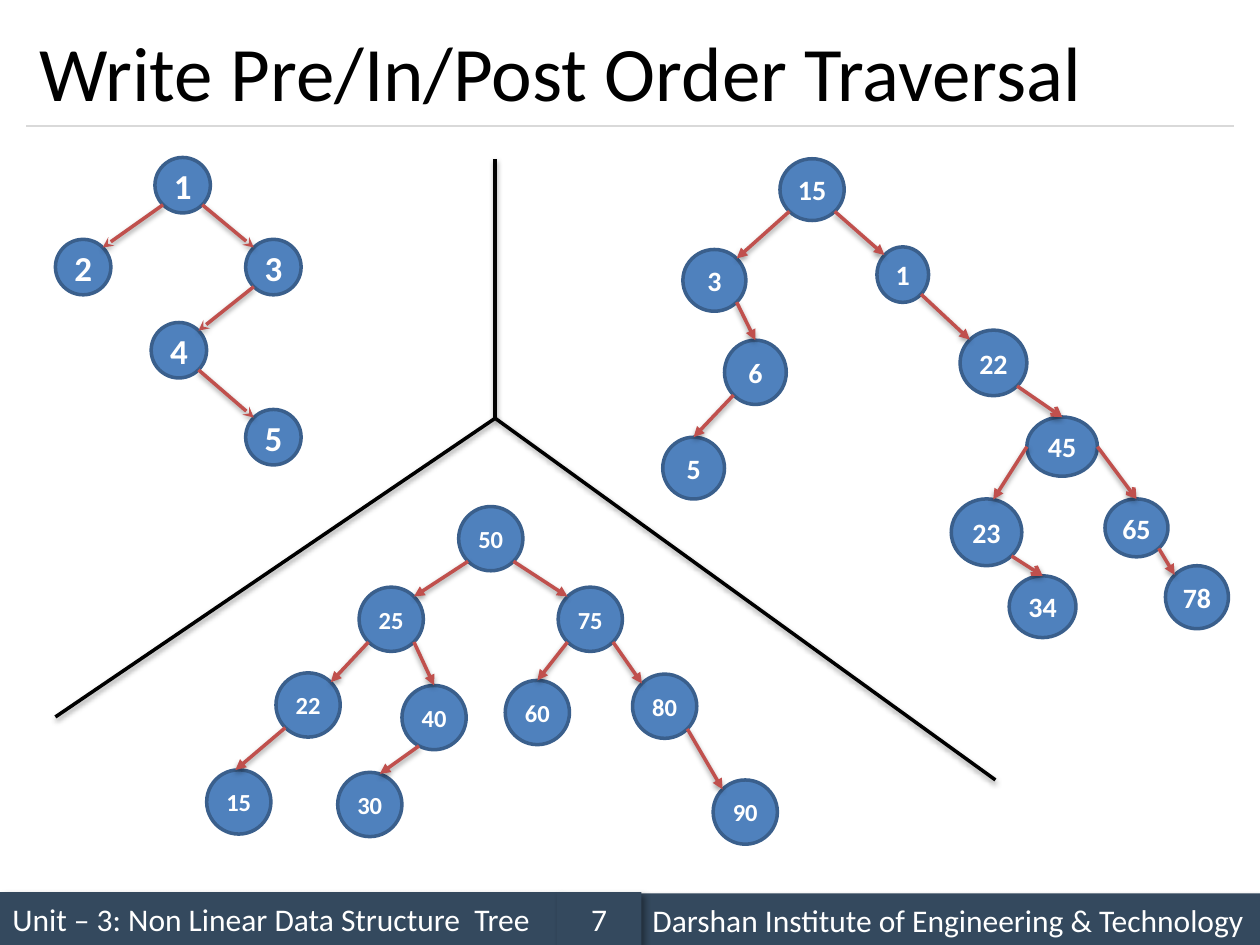
from dataclasses import dataclass
from math import cos, radians, sin

from lxml import etree
from pptx import Presentation
from pptx import util as u
from pptx.dml.color import RGBColor
from pptx.enum import shapes, text
from pptx.oxml import ns

COLOURS = {
    "bar": "34495E", "rule": "D9D9D9", "node": "4F81BD", "outline": "3A5F8C",
    "edge": "C0504D", "dark": "000000", "light": "FFFFFF",
}
FONT = "Calibri"
CELL = u.Inches(0.1)  # the slide is a grid of 100 columns by 75 rows
COLUMNS, ROWS = 100, 75

# Compass bearings at which edges meet a node
TOP, UPPER_RIGHT, RIGHT, LOWER_RIGHT = 0, 45, 90, 135
LOWER_LEFT, LEFT, UPPER_LEFT = 225, 270, 315


@dataclass
class Node:
    label: str
    left: float
    top: float
    width: float
    height: float

    def rim(self, bearing: float) -> tuple[float, float]:
        """Point on the node's outline in the given direction."""
        angle = radians(bearing)
        return (self.left + self.width / 2 * (1 + sin(angle)),
                self.top + self.height / 2 * (1 - cos(angle)))


@dataclass
class Edge:
    parent: str
    start: float
    child: str
    end: float
    head: str = ""  # overrides the tree's arrowhead


@dataclass
class Tree:
    size: int
    head: str
    inset: float
    nodes: list[Node]
    edges: list[Edge]


@dataclass
class Bar:
    label: str
    left: float
    top: float
    width: float
    align: text.PP_ALIGN


def equal_nodes(diameter: float, places: dict[str, tuple[float, float]]) -> list[Node]:
    return [Node(label, left, top, diameter, diameter)
            for label, (left, top) in places.items()]


TREES = [
    Tree(20, "stealth", 0.6,
         equal_nodes(4.4, {"1": (12.3, 12.5), "2": (4.4, 19), "3": (19.5, 19),
                           "4": (12, 25.6), "5": (19.5, 32.5)}),
         [Edge("1", LOWER_LEFT, "2", UPPER_RIGHT),
          Edge("1", LOWER_RIGHT, "3", UPPER_LEFT),
          Edge("3", LOWER_LEFT, "4", UPPER_RIGHT),
          Edge("4", LOWER_RIGHT, "5", UPPER_LEFT)]),
    Tree(16, "triangle", 0.6,
         [Node("15", 61.9, 12.6, 5.1, 4.9), Node("23", 75.5, 39.6, 5.6, 5.3),
          Node("1", 69.6, 19.6, 4.1, 4.4), Node("3", 54.2, 19.8, 5, 4.9),
          Node("45", 81.5, 33.1, 5.6, 4.7), Node("65", 87.7, 39.6, 5, 4.6),
          Node("6", 57.5, 27, 4.9, 5.1), Node("5", 52.6, 34.7, 4.9, 4.9),
          Node("22", 76.2, 26.2, 5.3, 5.2), Node("34", 80.1, 45.7, 5.3, 4.9),
          Node("78", 92.5, 44.9, 5, 5)],
         [Edge("15", LOWER_LEFT, "3", UPPER_RIGHT),
          Edge("15", LOWER_RIGHT, "1", UPPER_LEFT),
          Edge("45", LEFT, "23", 11),
          Edge("1", LOWER_RIGHT, "22", UPPER_LEFT),
          Edge("3", LOWER_RIGHT, "6", TOP),
          Edge("6", LOWER_LEFT, "5", TOP),
          Edge("65", LOWER_RIGHT, "78", UPPER_LEFT),
          Edge("22", LOWER_RIGHT, "45", TOP, "arrow"),
          Edge("45", RIGHT, "65", TOP, "arrow"),
          Edge("23", LOWER_RIGHT, "34", TOP, "arrow")]),
    Tree(14, "triangle", 0.8,
         equal_nodes(5.1, {"50": (36.4, 40.2), "60": (40.1, 54), "75": (44.3, 46.6),
                           "25": (28.5, 46.6), "22": (21.9, 53.4), "80": (50.2, 53.5),
                           "90": (56.6, 61.9), "15": (16.4, 61.1), "40": (31.9, 54.4),
                           "30": (26.8, 61.3)}),
         [Edge("50", LOWER_LEFT, "25", UPPER_RIGHT),
          Edge("50", LOWER_RIGHT, "75", UPPER_LEFT),
          Edge("25", LOWER_LEFT, "22", UPPER_RIGHT),
          Edge("75", LOWER_LEFT, "60", TOP),
          Edge("75", LOWER_RIGHT, "80", UPPER_LEFT),
          Edge("80", LOWER_RIGHT, "90", UPPER_LEFT),
          Edge("22", LOWER_LEFT, "15", 354),
          Edge("25", LOWER_RIGHT, "40", TOP),
          Edge("40", 208, "30", 18)]),
]

BARS = [
    Bar("Unit – 3: Non Linear Data Structure  Tree", 0, 70.8, 44.2, text.PP_ALIGN.LEFT),
    Bar("Darshan Institute of Engineering & Technology", 50.8, 70.9, 49.2,
        text.PP_ALIGN.LEFT),
    Bar("7", 44.2, 70.8, 6.7, text.PP_ALIGN.CENTER),
]

JUNCTION = (39.3, 33.2)
DIVIDER_ENDS = [(39.3, 12.6), (4.4, 56.9), (79, 61.9)]


def grid(*cells: float) -> list[int]:
    return [round(cell * CELL) for cell in cells]


def colour(name: str) -> RGBColor:
    return RGBColor.from_string(COLOURS[name])


def add_shadow(effects, alpha: int, blur: float, distance: float, angle: int) -> None:
    shadow = etree.SubElement(
        effects, ns.qn("a:outerShdw"), blurRad=str(u.Pt(blur)), dist=str(u.Pt(distance)),
        dir=str(angle * 60000), rotWithShape="0")
    black = etree.SubElement(shadow, ns.qn("a:srgbClr"), val=COLOURS["dark"])
    etree.SubElement(black, ns.qn("a:alpha"), val=str(alpha * 1000))


def write(shape, label: str, size: int, ink: str, align, bold: bool = False) -> None:
    frame = shape.text_frame
    frame.text = label
    frame.vertical_anchor = text.MSO_ANCHOR.MIDDLE
    paragraph = frame.paragraphs[0]
    paragraph.alignment = align
    font = paragraph.font
    font.name, font.size, font.bold = FONT, u.Pt(size), bold
    font.color.rgb = colour(ink)


def add_line(slide, start, end, ink: str, width: float = 2, head: str = "",
             shadowed: bool = True) -> None:
    line = slide.shapes.add_connector(shapes.MSO_CONNECTOR.STRAIGHT,
                                      *grid(*start, *end))
    line.line.color.rgb = colour(ink)
    line.line.width = u.Pt(width)
    properties = line._element.spPr
    if head:
        etree.SubElement(properties.find(ns.qn("a:ln")), ns.qn("a:tailEnd"), type=head)
    effects = etree.SubElement(properties, ns.qn("a:effectLst"))
    if shadowed:
        add_shadow(effects, 38, 3.1, 1.6, 90)


def add_bar(slide, bar: Bar) -> None:
    shape = slide.shapes.add_shape(shapes.MSO_SHAPE.RECTANGLE,
                                   *grid(bar.left, bar.top, bar.width, 4.2))
    shape.fill.solid()
    shape.fill.fore_color.rgb = colour("bar")
    shape.line.fill.background()
    shape.shadow.inherit = False
    add_shadow(shape._element.spPr.find(ns.qn("a:effectLst")), 40, 4, 3, 45)
    write(shape, bar.label, 18, "light", bar.align)


def add_node(slide, node: Node, tree: Tree) -> None:
    shape = slide.shapes.add_shape(
        shapes.MSO_SHAPE.OVAL, *grid(node.left, node.top, node.width, node.height))
    shape.fill.solid()
    shape.fill.fore_color.rgb = colour("node")
    shape.line.color.rgb = colour("outline")
    shape.line.width = u.Pt(2)
    shape.shadow.inherit = False
    frame = shape.text_frame
    frame.margin_left = frame.margin_right = round(tree.inset * CELL)
    frame.margin_top = frame.margin_bottom = round(tree.inset * CELL / 2)
    write(shape, node.label, tree.size, "light", text.PP_ALIGN.CENTER, bold=True)


def add_tree(slide, tree: Tree) -> None:
    nodes = {node.label: node for node in tree.nodes}
    for node in tree.nodes:
        add_node(slide, node, tree)
    for edge in tree.edges:
        add_line(slide, nodes[edge.parent].rim(edge.start),
                 nodes[edge.child].rim(edge.end), "edge", head=edge.head or tree.head)


def main() -> None:
    presentation = Presentation()
    presentation.slide_width, presentation.slide_height = grid(COLUMNS, ROWS)
    slide = presentation.slides.add_slide(presentation.slide_layouts[5])

    # Title and the rule below it
    title = slide.shapes.title
    title.left, title.top, title.width, title.height = grid(2.1, 1.2, 95.8, 8.8)
    write(title, "Write Pre/In/Post Order Traversal", 44, "dark", text.PP_ALIGN.LEFT)
    title.text_frame.auto_size = text.MSO_AUTO_SIZE.NONE
    add_line(slide, (2.1, 10), (97.9, 10), "rule", 0.75, shadowed=False)

    # Footer
    for bar in BARS:
        add_bar(slide, bar)

    # Trees and the lines that divide them
    for tree in TREES:
        add_tree(slide, tree)
    for end in DIVIDER_ENDS:
        add_line(slide, JUNCTION, end, "dark")

    presentation.save("out.pptx")


if __name__ == "__main__":
    main()
